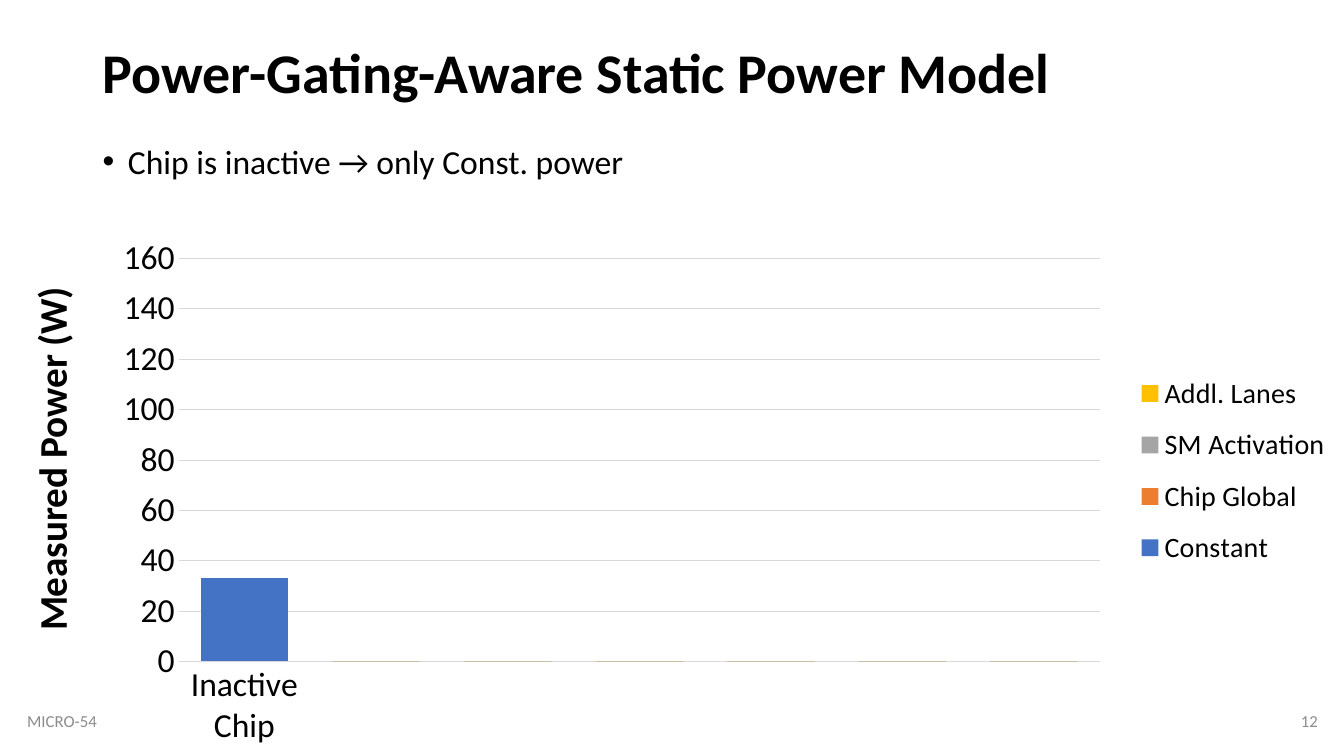
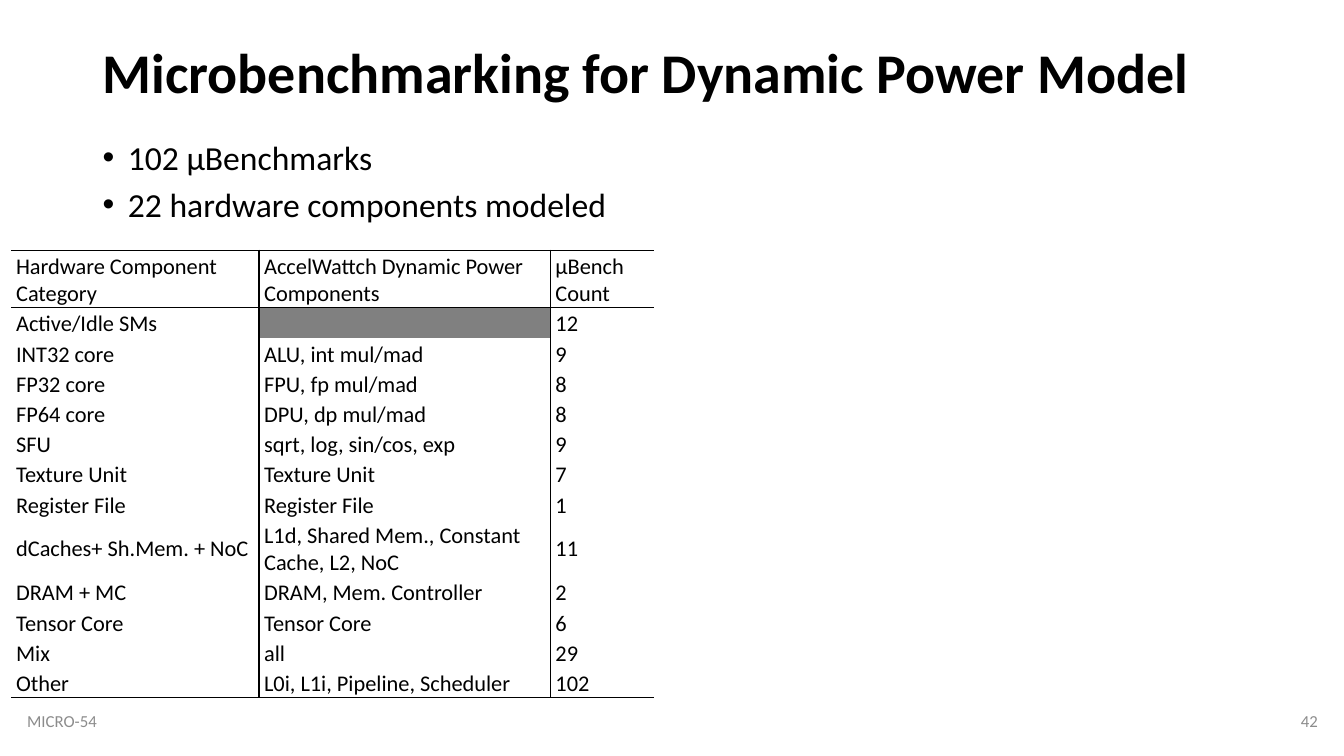
from lxml import etree
from pptx import Presentation
from pptx.chart.data import CategoryChartData
from pptx.dml.color import RGBColor
from pptx.enum.chart import XL_CHART_TYPE, XL_LEGEND_POSITION, XL_TICK_MARK
from pptx.enum.text import MSO_ANCHOR, PP_ALIGN
from pptx.oxml.ns import qn
from pptx.util import Inches, Pt

STACKED = XL_CHART_TYPE.COLUMN_STACKED
RIGHT_SIDE = XL_LEGEND_POSITION.RIGHT
NO_TICK = XL_TICK_MARK.NONE
TOP, MIDDLE = MSO_ANCHOR.TOP, MSO_ANCHOR.MIDDLE
LEFT, RIGHT = PP_ALIGN.LEFT, PP_ALIGN.RIGHT

BLACK, GRAY, GRID, MUTED = "000000", "808080", "D9D9D9", "8C8C8C"
FACE = "Calibri"
TITLE = {"size": Pt(40), "bold": True}
BODY = {"size": Pt(24)}
FOOT = {"size": Pt(12)}
CELL = {"size": Pt(16), "bold": False}

SERIES = [
    ("Constant", "4472C4", 33),
    ("Chip Global", "ED7D31", 0),
    ("SM Activation", "A5A5A5", 0),
    ("Addl. Lanes", "FFC000", 0),
]
SLOTS = 7

ROWS = [
    ("Hardware Component Category", "AccelWattch Dynamic Power Components", "µBench Count"),
    ("Active/Idle SMs", "", "12"),
    ("INT32 core", "ALU, int mul/mad", "9"),
    ("FP32 core", "FPU, fp mul/mad", "8"),
    ("FP64 core", "DPU, dp mul/mad", "8"),
    ("SFU", "sqrt, log, sin/cos, exp", "9"),
    ("Texture Unit", "Texture Unit", "7"),
    ("Register File", "Register File", "1"),
    ("dCaches+ Sh.Mem. + NoC", "L1d, Shared Mem., Constant Cache, L2, NoC", "11"),
    ("DRAM + MC", "DRAM, Mem. Controller", "2"),
    ("Tensor Core", "Tensor Core", "6"),
    ("Mix", "all", "29"),
    ("Other", "L0i, L1i, Pipeline, Scheduler", "102"),
]
WIDTHS = [2.46, 2.89, 1.03]
TALL_ROWS = (0, 8)


def rgb(code):
    return RGBColor.from_string(code)


def style(font, form, color=BLACK):
    for name, value in {"name": FACE, **form}.items():
        setattr(font, name, value)
    font.color.rgb = rgb(color)


def bullet(para):
    props = para._p.get_or_add_pPr()
    props.set("marL", str(Inches(0.25)))
    props.set("indent", str(-Inches(0.25)))
    etree.SubElement(props, qn("a:buFont")).set("typeface", "Arial")
    etree.SubElement(props, qn("a:buChar")).set("char", "•")


def text(slide, box, lines, form, color=BLACK, anchor=TOP, align=LEFT,
         spacing=1.0, dots=False):
    frame = slide.shapes.add_textbox(*map(Inches, box)).text_frame
    frame.word_wrap = True
    frame.vertical_anchor = anchor
    for i, line in enumerate(lines):
        para = frame.add_paragraph() if i else frame.paragraphs[0]
        if dots:
            bullet(para)
        para.alignment = align
        para.line_spacing = spacing
        if i:
            para.space_before = Pt(10)
        run = para.add_run()
        run.text = line
        style(run.font, form, color)


def page(deck, title, points, number, spacing):
    """Add a slide with the shared title, bullets and footer."""
    slide = deck.slides.add_slide(deck.slide_layouts[6])
    text(slide, (0.92, 0.4, 11.5, 1.45), [title], TITLE, spacing=0.9)
    text(slide, (0.17, 6.95, 1.05, 0.4), ["MICRO-54"], FOOT, MUTED, MIDDLE)
    text(slide, (12.74, 6.95, 0.43, 0.4), [number], FOOT, MUTED, MIDDLE, RIGHT)
    text(slide, (0.92, 1.39, 10.55, 0.91), points, BODY, spacing=spacing, dots=True)
    return slide


def place(part, index, inner=False, **spots):
    """Give a chart part a fixed place, in fractions of the chart."""
    old = part.find(qn("c:layout"))
    if old is not None:
        part.remove(old)
    layout = etree.Element(qn("c:layout"))
    part.insert(index, layout)
    manual = etree.SubElement(layout, qn("c:manualLayout"))
    if inner:
        etree.SubElement(manual, qn("c:layoutTarget")).set("val", "inner")
    for key in ("x", "y"):
        etree.SubElement(manual, qn(f"c:{key}Mode")).set("val", "edge")
    for key, value in spots.items():
        etree.SubElement(manual, qn(f"c:{key}")).set("val", str(value))


def rule(line):
    line.color.rgb = rgb(GRID)
    line.width = Pt(0.75)


def power_chart(slide):
    data = CategoryChartData()
    data.categories = ["Inactive Chip"] + [""] * (SLOTS - 1)
    for name, _, first in SERIES:
        data.add_series(name, [first] + [0] * (SLOTS - 1))
    box = map(Inches, (0.05, 2.25, 13.24, 5.26))
    chart = slide.shapes.add_chart(STACKED, *box, data).chart
    chart.has_title = False
    style(chart.font, BODY)

    plot = chart.plots[0]
    plot.gap_width, plot.overlap = 50, 100
    plot.vary_by_categories = False
    for series, (_, color, _) in zip(plot.series, SERIES):
        series.format.fill.solid()
        series.format.fill.fore_color.rgb = rgb(color)

    cats, vals = chart.category_axis, chart.value_axis
    for axis in (cats, vals):
        axis.major_tick_mark = axis.minor_tick_mark = NO_TICK
        style(axis.tick_labels.font, BODY)
    rule(cats.format.line)
    vals.format.line.fill.background()
    vals.minimum_scale, vals.maximum_scale, vals.major_unit = 0, 160, 20
    vals.has_major_gridlines = True
    rule(vals.major_gridlines.format.line)

    vals.has_title = True
    frame = vals.axis_title.text_frame
    frame.text = "Measured Power (W)"
    frame._txBody.bodyPr.set("rot", "-5400000")
    style(frame.paragraphs[0].runs[0].font, {"size": Pt(28), "bold": True})

    chart.has_legend = True
    legend = chart.legend
    legend.position = RIGHT_SIDE
    legend.include_in_layout = False
    style(legend.font, {"size": Pt(20)})

    area = chart._chartSpace.chart.plotArea
    place(area, 0, inner=True, x=0.13, y=0.06, w=0.69, h=0.76)
    place(legend._element, 1, x=0.84, y=0.25, w=0.16, h=0.42)
    place(vals.axis_title._element, 1, x=0.01, y=0.1)


def border(cell, sides):
    """Draw the sides with a width in points; clear those without."""
    props = cell._tc.get_or_add_tcPr()
    for side in "LRTB":
        line = etree.SubElement(props, qn(f"a:ln{side}"))
        if side in sides:
            line.set("w", str(Pt(sides[side])))
            fill = etree.SubElement(line, qn("a:solidFill"))
            etree.SubElement(fill, qn("a:srgbClr")).set("val", BLACK)
        else:
            etree.SubElement(line, qn("a:noFill"))


def edges(row, col):
    sides = {}
    if col > 0:
        sides["L"] = 1
    if col < len(WIDTHS) - 1:
        sides["R"] = 1
    if row in (0, 1):
        sides["T"] = 0.5
    if row in (0, len(ROWS) - 1):
        sides["B"] = 0.5
    return sides


def fill_cell(cell, words, sides):
    form = {"margin_left": Inches(0.05), "margin_right": Inches(0.05),
            "margin_top": Inches(0.03), "margin_bottom": 0,
            "vertical_anchor": MIDDLE}
    for name, value in form.items():
        setattr(cell, name, value)
    border(cell, sides)
    para = cell.text_frame.paragraphs[0]
    if words:
        cell.fill.background()
        run = para.add_run()
        run.text = words
        style(run.font, CELL)
    else:
        cell.fill.solid()
        cell.fill.fore_color.rgb = rgb(GRAY)
        etree.SubElement(para._p, qn("a:endParaRPr")).set("sz", "1600")


def bench_table(slide):
    box = map(Inches, (0.11, 2.48, sum(WIDTHS), 4.44))
    table = slide.shapes.add_table(len(ROWS), len(WIDTHS), *box).table
    table.first_row = table.horz_banding = False
    for col, width in zip(table.columns, WIDTHS):
        col.width = Inches(width)
    for r, words in enumerate(ROWS):
        table.rows[r].height = Inches(0.57 if r in TALL_ROWS else 0.3)
        for c, word in enumerate(words):
            fill_cell(table.cell(r, c), word, edges(r, c))


def main():
    deck = Presentation()
    deck.slide_width, deck.slide_height = Inches(13.33), Inches(7.5)
    power_chart(page(deck, "Power-Gating-Aware Static Power Model",
                     ["Chip is inactive → only Const. power"], "12", 0.9))
    bench_table(page(deck, "Microbenchmarking for Dynamic Power Model",
                     ["102 µBenchmarks", "22 hardware components modeled"], "42", 0.8))
    deck.save("out.pptx")


if __name__ == "__main__":
    main()
